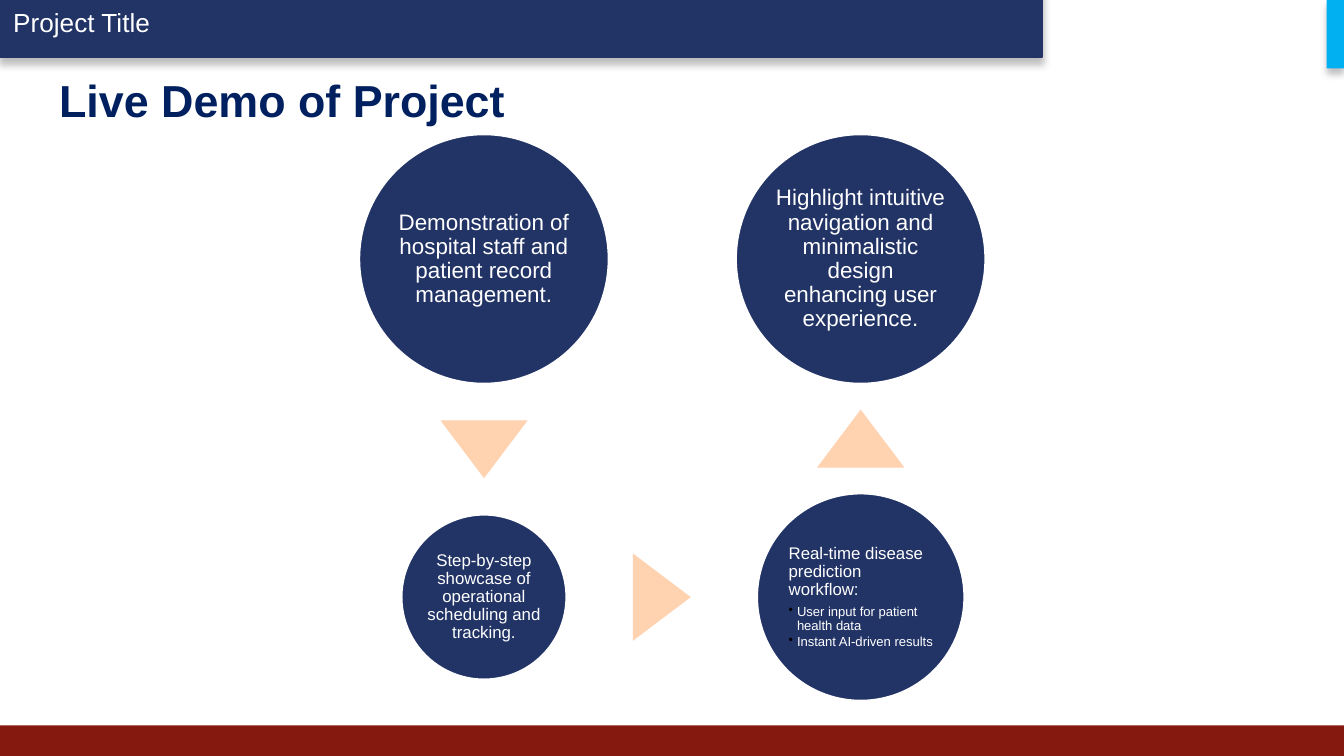
import lxml.etree
import pptx
import pptx.dml.color
import pptx.enum.shapes
import pptx.enum.text
import pptx.oxml.ns
import pptx.util

Pt = pptx.util.Pt
RGBColor = pptx.dml.color.RGBColor
SHAPE = pptx.enum.shapes.MSO_SHAPE
ALIGN = pptx.enum.text.PP_ALIGN
ANCHOR = pptx.enum.text.MSO_ANCHOR
qn = pptx.oxml.ns.qn

NAVY = RGBColor(0x22, 0x33, 0x66)
TITLE_BLUE = RGBColor(0x00, 0x20, 0x60)
RED = RGBColor(0x85, 0x19, 0x10)
CYAN = RGBColor(0x00, 0xB0, 0xF0)
PEACH = RGBColor(0xFF, 0xD2, 0xB0)
WHITE = RGBColor(0xFF, 0xFF, 0xFF)
BLACK = RGBColor(0x00, 0x00, 0x00)

SLIDE_WIDTH, SLIDE_HEIGHT = 720, 405


def write_text(paragraph, text, size, color=WHITE, bold=False, align=ALIGN.LEFT,
               line_spacing=1.0, space_after=0):
    paragraph.alignment = align
    paragraph.line_spacing = line_spacing
    paragraph.space_after = Pt(space_after)
    run = paragraph.add_run()
    run.text = text
    run.font.name = "Arial"
    run.font.size = Pt(size)
    run.font.bold = bold
    run.font.color.rgb = color


def add_bullet(paragraph, indent):
    paragraph.level = 1
    properties = paragraph._p.get_or_add_pPr()
    properties.set("marL", str(Pt(indent)))
    properties.set("indent", str(-Pt(indent)))
    bullet_color = lxml.etree.SubElement(properties, qn("a:buClr"))
    lxml.etree.SubElement(bullet_color, qn("a:srgbClr"), val=str(BLACK))
    lxml.etree.SubElement(properties, qn("a:buChar"), char="•")


def add_shape(slide, kind, box, fill, line=None):
    shape = slide.shapes.add_shape(kind, *(Pt(length) for length in box))
    shape.shadow.inherit = False
    shape.fill.solid()
    shape.fill.fore_color.rgb = fill
    if line is None:
        shape.line.fill.background()
    else:
        shape.line.color.rgb = line
        shape.line.width = Pt(2)
    return shape


def add_shadow(shape):
    effects = shape._element.spPr.find(qn("a:effectLst"))
    shadow = lxml.etree.SubElement(effects, qn("a:outerShdw"), blurRad=str(Pt(4)),
                                   dist=str(Pt(3)), dir="5400000", rotWithShape="0")
    color = lxml.etree.SubElement(shadow, qn("a:srgbClr"), val=str(BLACK))
    lxml.etree.SubElement(color, qn("a:alpha"), val="25000")


def add_header(slide, left, top, width, height):
    banner = add_shape(slide, SHAPE.RECTANGLE, (left, top, width, height), NAVY, NAVY)
    add_shadow(banner)
    banner.text_frame.vertical_anchor = ANCHOR.MIDDLE
    write_text(banner.text_frame.paragraphs[0], "Project Title", 14)


def add_edges(slide, left, top, width, height):
    add_shape(slide, SHAPE.RECTANGLE, (left, top + height - 16.4, width, 16.4), RED)
    tab = add_shape(slide, SHAPE.RECTANGLE, (left + width - 9.3, top, 9.3, 36.7), CYAN)
    add_shadow(tab)


def add_title(slide, left, top, width, height):
    title = slide.shapes.title
    title.left, title.top, title.width, title.height = map(Pt, (left, top, width, height))
    title.text_frame.auto_size = pptx.enum.text.MSO_AUTO_SIZE.NONE
    title.text_frame.vertical_anchor = ANCHOR.MIDDLE
    write_text(title.text_frame.paragraphs[0], "Live Demo of Project", 24, TITLE_BLUE, bold=True)


def add_circle(slide, center_x, center_y, diameter, text, size, bullets=()):
    radius = diameter / 2
    circle = add_shape(slide, SHAPE.OVAL,
                       (center_x - radius, center_y - radius, diameter, diameter), NAVY, WHITE)
    frame = circle.text_frame
    frame.word_wrap = True
    frame.vertical_anchor = ANCHOR.MIDDLE
    frame.margin_left = frame.margin_top = frame.margin_right = frame.margin_bottom = Pt(1)
    write_text(frame.paragraphs[0], text, size, align=ALIGN.LEFT if bullets else ALIGN.CENTER,
               line_spacing=0.9, space_after=3)
    for bullet in bullets:
        paragraph = frame.add_paragraph()
        write_text(paragraph, bullet, 7, line_spacing=0.9, space_after=1)
        add_bullet(paragraph, 4.5)


def add_arrow(slide, center_x, center_y, rotation):
    width, height = 46.8, 31
    arrow = add_shape(slide, SHAPE.ISOSCELES_TRIANGLE,
                      (center_x - width / 2, center_y - height / 2, width, height), PEACH)
    arrow.rotation = rotation


def add_circle_flow(slide, left, top, width, height):
    large, medium, small = 134.6, 112, 89.3
    left_x, right_x = left + large / 2, left + width - large / 2
    top_y, bottom_y = top + large / 2, top + height - medium / 2

    add_circle(slide, left_x, top_y, large,
               "Demonstration of hospital staff and patient record management.", 12)
    add_arrow(slide, left_x, (top + large + bottom_y - small / 2) / 2, 180)
    add_circle(slide, left_x, bottom_y, small,
               "Step-by-step showcase of operational scheduling and tracking.", 9)
    add_arrow(slide, (left_x + small / 2 + right_x - medium / 2) / 2, bottom_y, 90)
    add_circle(slide, right_x, bottom_y, medium, "Real-time disease prediction workflow:", 9,
               ("User input for patient health data", "Instant AI-driven results"))
    add_arrow(slide, right_x, (top + large + bottom_y - medium / 2) / 2, 0)
    add_circle(slide, right_x, top_y, large,
               "Highlight intuitive navigation and minimalistic design enhancing user experience.", 12)


def main():
    presentation = pptx.Presentation()
    presentation.slide_width = Pt(SLIDE_WIDTH)
    presentation.slide_height = Pt(SLIDE_HEIGHT)
    slide = presentation.slides.add_slide(presentation.slide_layouts[5])
    add_header(slide, 0, -6.5, 558, 36.7)
    add_edges(slide, 0, 0, SLIDE_WIDTH, SLIDE_HEIGHT)
    add_title(slide, 24.5, 35.5, 671, 36)
    add_circle_flow(slide, 192, 71.5, 336.4, 304.4)
    presentation.save("out.pptx")


if __name__ == "__main__":
    main()
